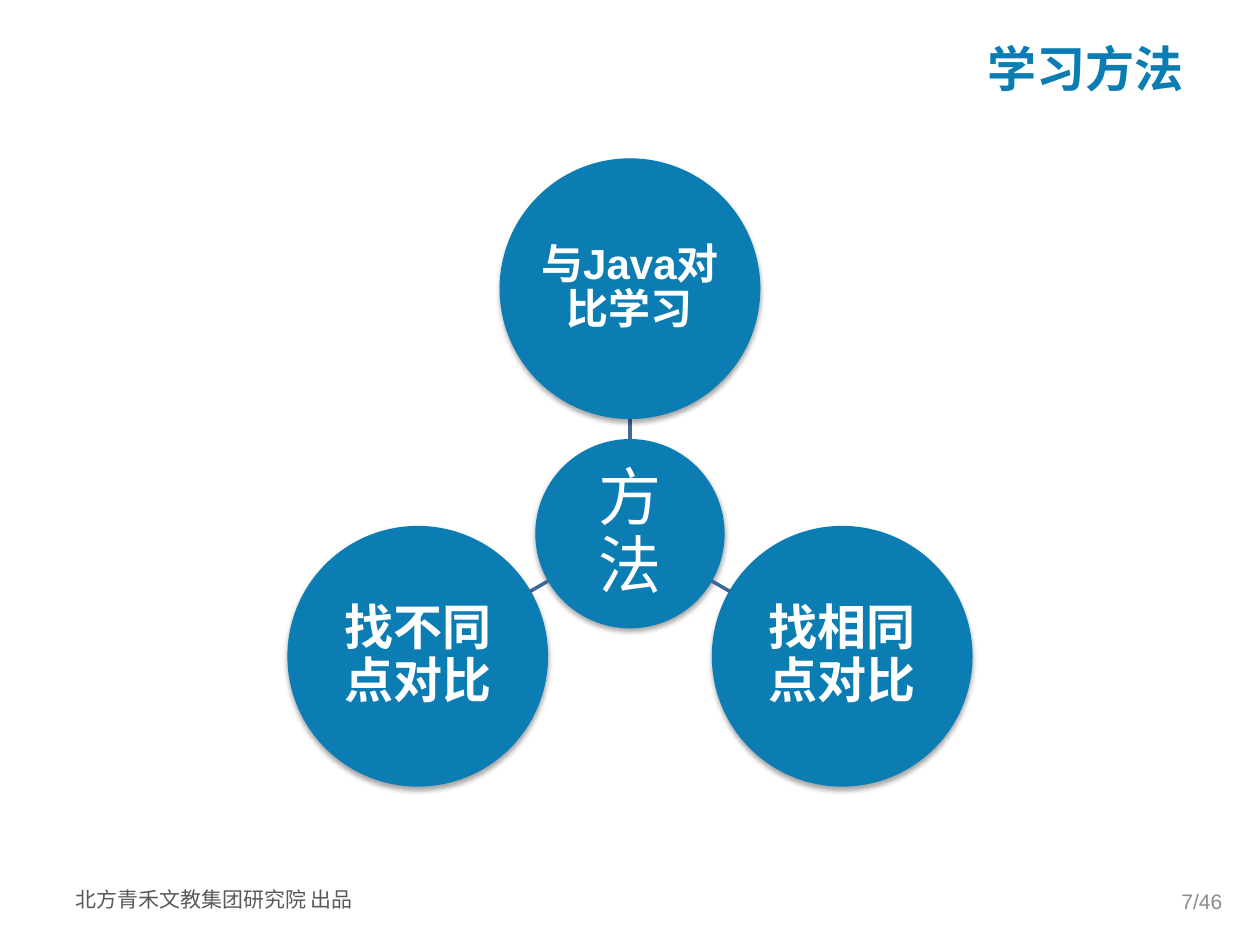
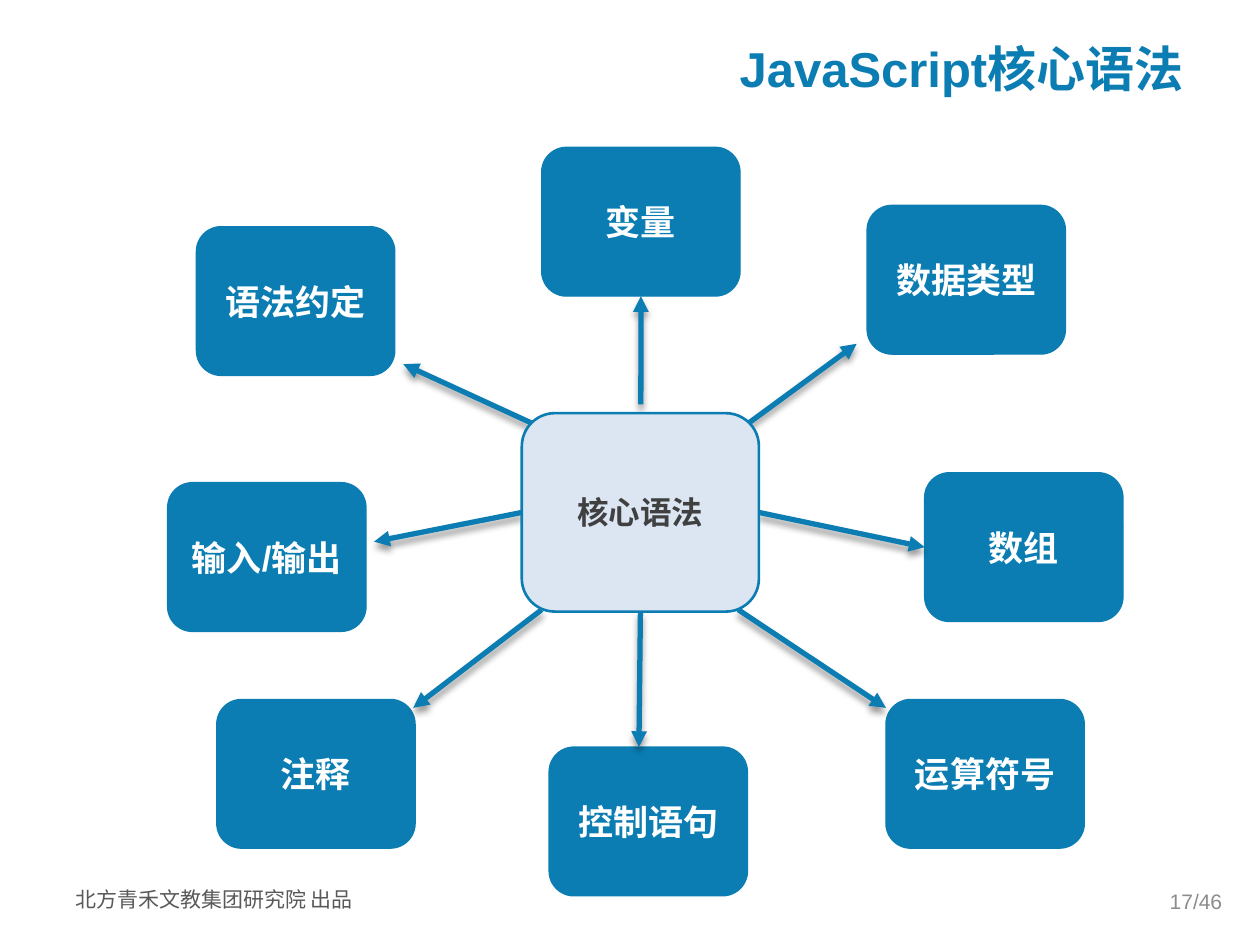
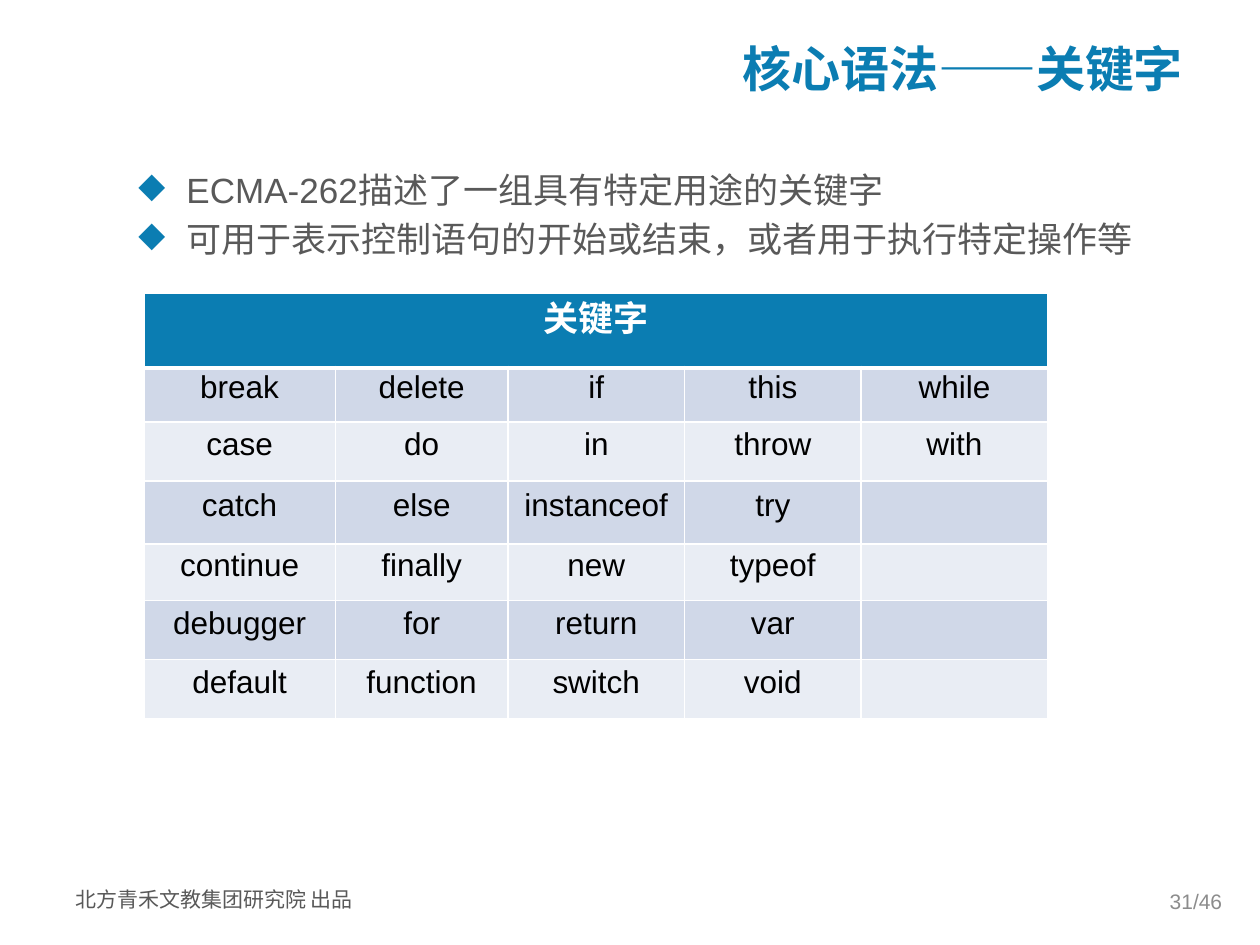
from math import cos, radians, sin

from lxml.etree import SubElement
from pptx import Presentation
from pptx.dml.color import RGBColor
from pptx.enum.shapes import MSO_CONNECTOR, MSO_SHAPE
from pptx.enum.text import MSO_ANCHOR, MSO_AUTO_SIZE, PP_ALIGN
from pptx.oxml.ns import qn
from pptx.util import Cm, Pt

BLUE = RGBColor(0x0B, 0x7D, 0xB2)
SPOKE = RGBColor(0x3F, 0x67, 0x97)
PALE = RGBColor(0xDC, 0xE6, 0xF2)
BAND_DARK = RGBColor(0xD0, 0xD8, 0xE8)
BAND_LIGHT = RGBColor(0xE9, 0xED, 0xF4)
WHITE = RGBColor(0xFF, 0xFF, 0xFF)
BLACK = RGBColor(0, 0, 0)
DARK = RGBColor(0x40, 0x40, 0x40)
GREY = RGBColor(0x59, 0x59, 0x59)
PAGE_GREY = RGBColor(0x8C, 0x8C, 0x8C)

LATIN = "Arial"
CJK = "Noto Sans CJK SC"
LEFT, CENTER, RIGHT = PP_ALIGN.LEFT, PP_ALIGN.CENTER, PP_ALIGN.RIGHT
TOP, MIDDLE = MSO_ANCHOR.TOP, MSO_ANCHOR.MIDDLE
NO_FIT = MSO_AUTO_SIZE.NONE
ELLIPSE, ROUNDED = MSO_SHAPE.OVAL, MSO_SHAPE.ROUNDED_RECTANGLE
STRAIGHT = MSO_CONNECTOR.STRAIGHT
SITE_TOP, SITE_LEFT, SITE_BOTTOM, SITE_RIGHT = range(4)

PAGES = 46
FOOTER = "北方青禾文教集团研究院 出品"

SATELLITES = [(-90, "与Java对比学习", 24), (30, "找相同点对比", 28), (150, "找不同点对比", 28)]

TOPICS = [
    ("变量", 7.54, 0, (9.54, 5.18), SITE_BOTTOM),
    ("数据类型", 14.1, 1.17, (11.71, 5.56), (13.89, 3.96)),
    ("数组", 15.26, 6.56, SITE_RIGHT, SITE_LEFT),
    ("运算符号", 14.48, 11.13, (11.5, 9.32), (14.48, 11.3)),
    ("控制语句", 7.69, 12.09, SITE_BOTTOM, (9.5, 12.09)),
    ("注释", 0.99, 11.13, (7.54, 9.32), (4.95, 11.3)),
    ("输入/输出", 0, 6.76, SITE_LEFT, (4.16, 7.95)),
    ("语法约定", 0.58, 1.6, (7.34, 5.56), (4.75, 4.37)),
]

POINTS = ["ECMA-262描述了一组具有特定用途的关键字",
          "可用于表示控制语句的开始或结束，或者用于执行特定操作等"]
KEYWORDS = ("break case catch continue debugger default delete do else finally for function "
            "if in instanceof new return switch this throw try typeof var void while with").split()
COLUMN_WIDTHS = [3.86, 3.48, 3.56, 3.56, 3.76]
ROW_HEIGHTS = [1.5, 1.09, 1.19, 1.27, 1.14, 1.19, 1.19]


def add_run(p, text, size, color, bold=False, font=LATIN):
    r = p.add_run()
    r.text = text
    r.font.name = font
    r.font.size = Pt(size)
    r.font.bold = bold
    r.font.color.rgb = color
    SubElement(r._r.get_or_add_rPr(), qn("a:ea"), typeface=CJK)


def write(tf, text, size, color, bold=False, align=CENTER, anchor=MIDDLE, font=LATIN):
    tf.word_wrap = True
    tf.auto_size = NO_FIT
    tf.vertical_anchor = anchor
    p = tf.paragraphs[0]
    p.alignment = align
    add_run(p, text, size, color, bold, font)
    return p


def set_effects(shape, alpha=0, blur=0, dist=0):
    effects = SubElement(shape._element.spPr, qn("a:effectLst"))
    if alpha:
        shadow = SubElement(effects, qn("a:outerShdw"), blurRad=str(Pt(blur)),
                            dist=str(Pt(dist)), dir="5400000", rotWithShape="0")
        color = SubElement(shadow, qn("a:srgbClr"), val="000000")
        SubElement(color, qn("a:alpha"), val=str(alpha * 1000))


def add_block(s, kind, left, top, width, height, fill=BLUE, line_width=0.75):
    shape = s.shapes.add_shape(kind, Cm(left), Cm(top), Cm(width), Cm(height))
    shape.fill.solid()
    shape.fill.fore_color.rgb = fill
    shape.line.color.rgb = BLUE
    shape.line.width = Pt(line_width)
    return shape


def add_line(s, start, end, color, width):
    line = s.shapes.add_connector(STRAIGHT, *(Cm(v) for v in (*start, *end)))
    line.line.color.rgb = color
    line.line.width = Pt(width)
    return line


def add_text(s, left, top, width, height, *args, **kwargs):
    box = s.shapes.add_textbox(Cm(left), Cm(top), Cm(width), Cm(height))
    write(box.text_frame, *args, **kwargs)


def new_slide(prs, title, page):
    s = prs.slides.add_slide(prs.slide_layouts[5])
    shape = s.shapes.title
    shape.left, shape.top, shape.width, shape.height = Cm(2.54), Cm(0.79), Cm(21.56), Cm(1.14)
    write(shape.text_frame, title, 28, BLUE, bold=True, align=RIGHT)
    add_text(s, 1.27, 17.75, 6.43, 0.86, FOOTER, 12, GREY, align=LEFT, anchor=TOP, font=CJK)
    add_text(s, 18.97, 17.65, 5.92, 1.02, f"{page}/{PAGES}", 12, PAGE_GREY, align=RIGHT)
    return s


def add_circle(s, x, y, diameter, text, size, bold, inset):
    circle = add_block(s, ELLIPSE, x - diameter / 2, y - diameter / 2, diameter, diameter)
    set_effects(circle, 35, 3.1, 1.8)
    tf = circle.text_frame
    tf.margin_left = tf.margin_right = tf.margin_top = tf.margin_bottom = Cm(inset)
    write(tf, text, size, WHITE, bold).line_spacing = 0.9


def radial_diagram(s, x, y, orbit=4.94, hub_size=3.79, satellite_size=5.23):
    def at(angle, distance):
        return x + distance * cos(radians(angle)), y + distance * sin(radians(angle))

    add_circle(s, x, y, hub_size, "方法", 36, False, 0.08)
    for angle, text, size in SATELLITES:
        spoke = add_line(s, at(angle, hub_size / 2), at(angle, orbit - satellite_size / 2), SPOKE, 2)
        set_effects(spoke)
        add_circle(s, *at(angle, orbit), satellite_size, text, size, True, 0.05)


def topic_map(s, left, top):
    def at(point):
        return (left, top) if isinstance(point, int) else (left + point[0], top + point[1])

    hub = add_block(s, ROUNDED, left + 7.14, top + 5.36, 4.78, 4, PALE, 1.5)
    hub.shadow.inherit = False
    write(hub.text_frame, "核心语法", 18, DARK, bold=True)
    for text, x, y, start, end in TOPICS:
        node = add_block(s, ROUNDED, left + x, top + y, 4, 3)
        node.shadow.inherit = False
        write(node.text_frame, text, 20, WHITE, bold=True)
        arrow = add_line(s, at(start), at(end), BLUE, 3)
        if isinstance(start, int):
            arrow.begin_connect(hub, start)
        if isinstance(end, int):
            arrow.end_connect(node, end)
        SubElement(arrow.line._get_or_add_ln(), qn("a:tailEnd"), type="triangle")
        set_effects(arrow, 40, 4, 3)
    s.shapes._spTree.append(hub._element)


def bullet_list(s, left, top, width, height):
    tf = s.shapes.add_textbox(Cm(left), Cm(top), Cm(width), Cm(height)).text_frame
    tf.word_wrap = True
    tf.margin_top = Cm(0.27)
    for i, text in enumerate(POINTS):
        p = tf.add_paragraph() if i else tf.paragraphs[0]
        p.space_before = Pt(4 if i else 0)
        pPr = p._p.get_or_add_pPr()
        pPr.set("marL", str(Cm(0.97)))
        pPr.set("indent", str(-Cm(0.97)))
        SubElement(SubElement(pPr, qn("a:buClr")), qn("a:srgbClr"), val=str(BLUE))
        SubElement(pPr, qn("a:buChar"), char="◆")
        add_run(p, text, 20, GREY)


def format_cell(cell, fill, top_width, bottom_width):
    tcPr = cell._tc.get_or_add_tcPr()
    for side, width in (("L", 1), ("R", 1), ("T", top_width), ("B", bottom_width)):
        ln = SubElement(tcPr, qn(f"a:ln{side}"), w=str(Pt(width)))
        SubElement(SubElement(ln, qn("a:solidFill")), qn("a:srgbClr"), val=str(WHITE))
    cell.fill.solid()
    cell.fill.fore_color.rgb = fill
    cell.vertical_anchor = MIDDLE
    cell.margin_left = cell.margin_right = Cm(0.18)
    cell.margin_top = cell.margin_bottom = 0


def fill_cell(cell, text, size, color, bold=False):
    p = cell.text_frame.paragraphs[0]
    p.alignment = CENTER
    p.line_spacing = Pt(12)
    add_run(p, text, size, color, bold)


def keyword_table(s, left, top):
    rows, cols = len(ROW_HEIGHTS), len(COLUMN_WIDTHS)
    table = s.shapes.add_table(rows, cols, Cm(left), Cm(top), Cm(sum(COLUMN_WIDTHS)),
                               Cm(sum(ROW_HEIGHTS))).table
    table.horz_banding = False
    for column, width in zip(table.columns, COLUMN_WIDTHS):
        column.width = Cm(width)
    for i, height in enumerate(ROW_HEIGHTS):
        table.rows[i].height = Cm(height)
        fill = BLUE if i == 0 else BAND_DARK if i % 2 else BAND_LIGHT
        for j in range(cols):
            cell = table.cell(i, j)
            format_cell(cell, fill, 3 if i == 1 else 1, 3 if i == 0 else 1)
            k = j * (rows - 1) + i - 1
            if i and k < len(KEYWORDS):
                fill_cell(cell, KEYWORDS[k], 18, BLACK)
    header = table.cell(0, 0)
    header.merge(table.cell(0, cols - 1))
    fill_cell(header, "关键字", 20, WHITE, True)


def main():
    prs = Presentation()
    prs.slide_width, prs.slide_height = Cm(25.4), Cm(19.05)

    radial_diagram(new_slide(prs, "学习方法", 7), 12.7, 10.76)
    topic_map(new_slide(prs, "JavaScript核心语法", 17), 3.38, 2.97)
    s = new_slide(prs, "核心语法——关键字", 31)
    bullet_list(s, 2.54, 3.12, 21.56, 12)
    keyword_table(s, 2.9, 5.92)

    prs.save("out.pptx")


if __name__ == "__main__":
    main()
